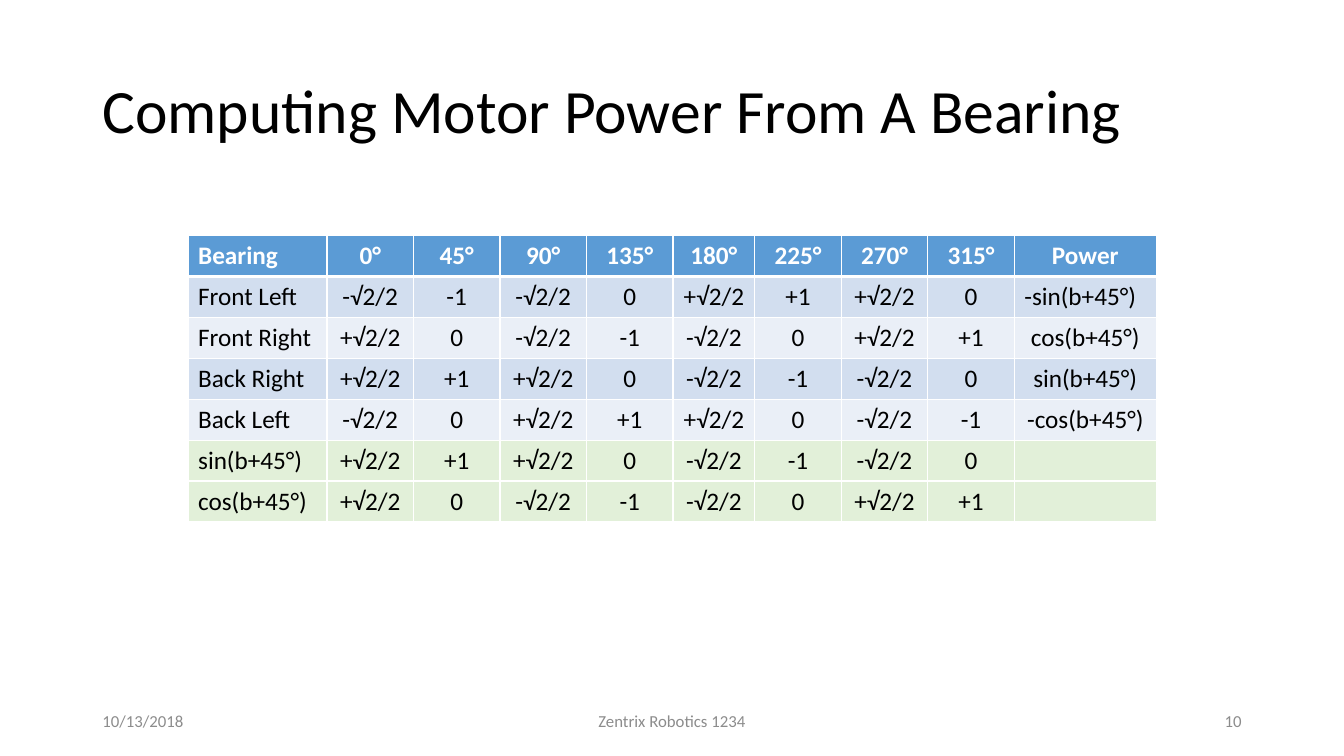
from lxml.etree import SubElement
from pptx import Presentation
from pptx.dml.color import RGBColor
from pptx.enum.text import MSO_ANCHOR, MSO_AUTO_SIZE, PP_ALIGN
from pptx.oxml.ns import qn
from pptx.util import Cm, Pt

BLACK = RGBColor(0x00, 0x00, 0x00)
WHITE = RGBColor(0xFF, 0xFF, 0xFF)
GREY = RGBColor(0x8C, 0x8C, 0x8C)
BLUE = RGBColor(0x5B, 0x9B, 0xD5)
BAND_DARK = RGBColor(0xD2, 0xDE, 0xEF)
BAND_LIGHT = RGBColor(0xEA, 0xEF, 0xF7)
GREEN = RGBColor(0xE2, 0xF0, 0xD9)


def write(paragraph, text, size, color, align=PP_ALIGN.LEFT, bold=False):
    paragraph.alignment = align
    run = paragraph.add_run()
    run.text = text
    run.font.name = "Calibri"
    run.font.size = Pt(size)
    run.font.bold = bold
    run.font.color.rgb = color


def add_border(cell, side, width):
    line = SubElement(cell._tc.get_or_add_tcPr(), qn(f"a:{side}"), w=str(Pt(width)))
    fill = SubElement(line, qn("a:solidFill"))
    SubElement(fill, qn("a:srgbClr"), val=str(WHITE))


deck = Presentation()
deck.slide_width = Cm(33.87)
deck.slide_height = Cm(19.05)
slide = deck.slides.add_slide(deck.slide_layouts[5])

title = slide.shapes.title
title.left, title.top, title.width, title.height = Cm(2.33), Cm(1.01), Cm(29.21), Cm(3.68)
title.text_frame.auto_size = MSO_AUTO_SIZE.NONE
title.text_frame.word_wrap = True
title.text_frame.vertical_anchor = MSO_ANCHOR.MIDDLE
heading = title.text_frame.paragraphs[0]
heading.line_spacing = 0.9
write(heading, "Computing Motor Power From A Bearing", 44, BLACK)

power_rows = [
    ("Bearing", "0° 45° 90° 135° 180° 225° 270° 315°", "Power", BLUE),
    ("Front Left", "-√2/2 -1 -√2/2 0 +√2/2 +1 +√2/2 0", "-sin(b+45°)", BAND_DARK),
    ("Front Right", "+√2/2 0 -√2/2 -1 -√2/2 0 +√2/2 +1", "cos(b+45°)", BAND_LIGHT),
    ("Back Right", "+√2/2 +1 +√2/2 0 -√2/2 -1 -√2/2 0", "sin(b+45°)", BAND_DARK),
    ("Back Left", "-√2/2 0 +√2/2 +1 +√2/2 0 -√2/2 -1", "-cos(b+45°)", BAND_LIGHT),
    ("sin(b+45°)", "+√2/2 +1 +√2/2 0 -√2/2 -1 -√2/2 0", "", GREEN),
    ("cos(b+45°)", "+√2/2 0 -√2/2 -1 -√2/2 0 +√2/2 +1", "", GREEN),
]
column_widths = [3.5] + [2.18] * 4 + [2.06] + [2.18] * 3 + [3.58]
row_height = 1.03

motor_powers = slide.shapes.add_table(
    len(power_rows), len(column_widths), Cm(4.74), Cm(5.94),
    Cm(sum(column_widths)), Cm(row_height * len(power_rows)),
).table
for column, width in zip(motor_powers.columns, column_widths):
    column.width = Cm(width)

for row_index, (motor, values, formula, band) in enumerate(power_rows):
    motor_powers.rows[row_index].height = Cm(row_height)
    is_header = row_index == 0
    for column_index, text in enumerate([motor, *values.split(), formula]):
        cell = motor_powers.cell(row_index, column_index)
        add_border(cell, "lnL", 1)
        add_border(cell, "lnR", 1)
        add_border(cell, "lnT", 3 if row_index == 1 else 1)
        add_border(cell, "lnB", 3 if is_header else 1)
        cell.fill.solid()
        cell.fill.fore_color.rgb = band
        if text:
            left_aligned = column_index == 0 or text == "-sin(b+45°)"
            write(cell.text_frame.paragraphs[0], text, 18,
                  WHITE if is_header else BLACK,
                  PP_ALIGN.LEFT if left_aligned else PP_ALIGN.CENTER, is_header)

footer_parts = [
    ("10/13/2018", 2.33, 7.62, PP_ALIGN.LEFT),
    ("Zentrix Robotics 1234", 11.22, 11.43, PP_ALIGN.CENTER),
    ("10", 23.92, 7.62, PP_ALIGN.RIGHT),
]
for text, left, width, align in footer_parts:
    footer = slide.shapes.add_textbox(Cm(left), Cm(17.66), Cm(width), Cm(1.01)).text_frame
    footer.word_wrap = True
    footer.vertical_anchor = MSO_ANCHOR.MIDDLE
    write(footer.paragraphs[0], text, 12, GREY, align)

deck.save("out.pptx")
